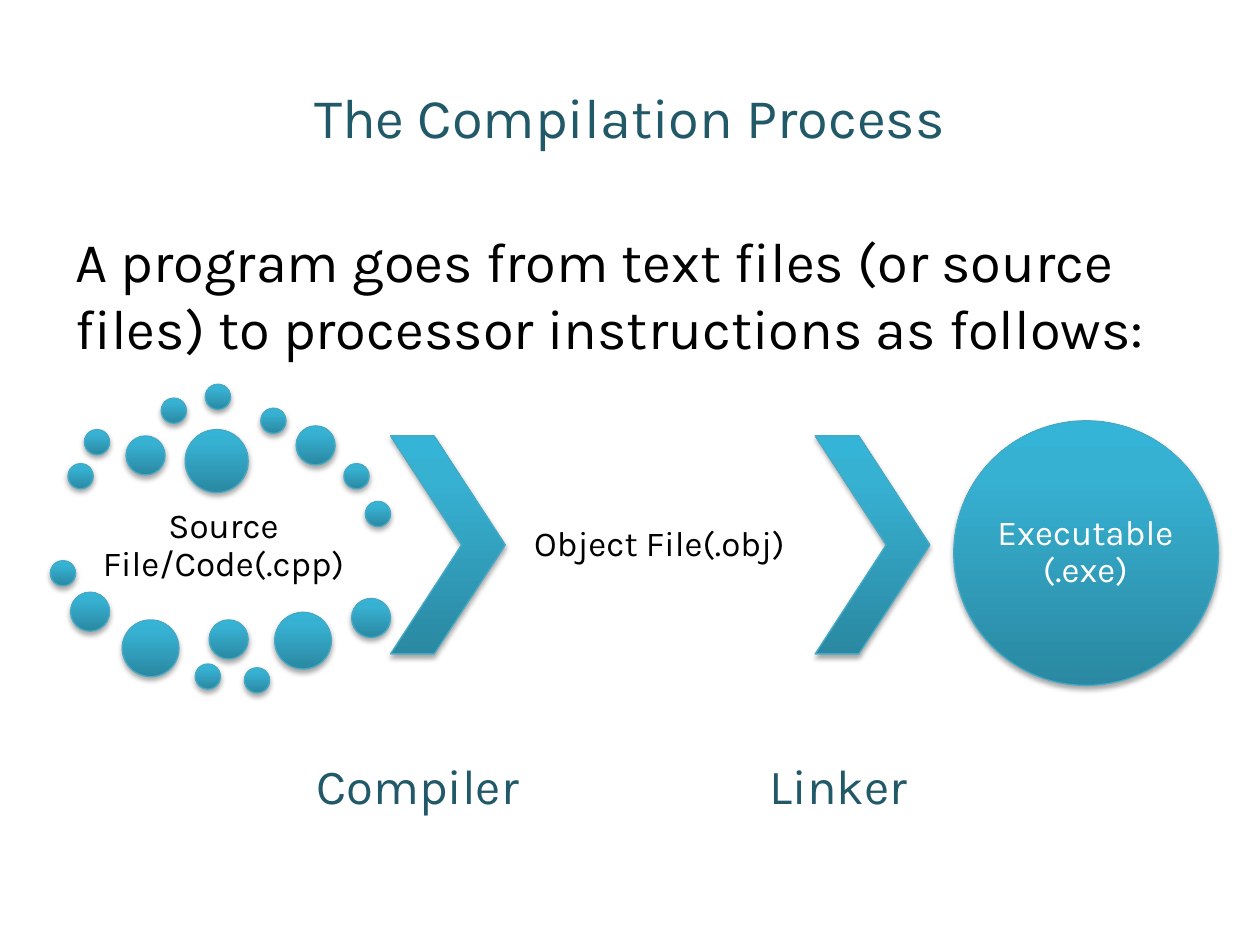
from lxml import etree
from pptx import Presentation
from pptx.dml.color import RGBColor
from pptx.enum import shapes, text
from pptx.oxml import parse_xml
from pptx.oxml.ns import nsdecls, qn
from pptx.util import Inches, Pt

FONT = "Karla"
TEAL, BLACK, WHITE, EDGE = "215968", "000000", "FFFFFF", "46AAC5"
GRADIENT = [(0, "2A88A2"), (80, "37B1D2"), (100, "34B4D6")]
SMALL, MEDIUM, LARGE, LARGEST = 0.2, 0.31, 0.45, 0.5

SOURCE_DOTS = {
    SMALL: [(0.54, 3.68), (0.67, 3.41), (1.28, 3.16), (1.63, 3.05), (2.07, 3.24), (2.73, 3.68),
            (2.9, 3.98), (0.4, 4.45), (1.55, 5.27), (1.94, 5.3)],
    MEDIUM: [(1, 3.46), (2.35, 3.38), (0.56, 4.7), (1.66, 4.92), (2.79, 4.75)],
    LARGE: [(0.97, 4.92), (2.18, 4.86)],
    LARGEST: [(1.47, 3.41)],
}
STAGES = [
    ("Source File/Code(.cpp)", (0.54, 3.93, 2.47, 0.81), 0.03, 20, BLACK),
    ("Compiler", (2.08, 5.5, 2.47, 1.52), 0.04, 28, TEAL),
    ("Object File(.obj)", (4, 3.46, 2.47, 1.73), 0.03, 20, BLACK),
    ("Linker", (5.42, 5.5, 2.47, 1.52), 0.04, 28, TEAL),
    ("Executable(.exe)", (7.87, 3.64, 1.49, 1.49), 0, 20, WHITE),
]


def color(value):
    """Turn a hex string into a colour."""
    return RGBColor.from_string(value)


def box(bounds):
    """Turn left, top, width and height in inches into lengths."""
    return [Inches(length) for length in bounds]


def style(paragraph, size, hue, align):
    """Format one paragraph."""
    paragraph.alignment = align
    paragraph.font.name = FONT
    paragraph.font.size = Pt(size)
    paragraph.font.color.rgb = color(hue)


def add_title(slide, wording):
    """Place and format the slide title."""
    title = slide.shapes.title
    title.left, title.top, title.width, title.height = box((0.5, 0.3, 9, 1.25))
    title.text_frame.text = wording
    title.text_frame.vertical_anchor = text.MSO_ANCHOR.MIDDLE
    style(title.text_frame.paragraphs[0], 32, TEAL, text.PP_ALIGN.CENTER)


def add_intro(slide, wording):
    """Add the sentence that introduces the process."""
    frame = slide.shapes.add_textbox(*box((0.5, 1.75, 9, 1.17))).text_frame
    frame.word_wrap = True
    frame.text = wording
    style(frame.paragraphs[0], 32, BLACK, text.PP_ALIGN.LEFT)
    frame.paragraphs[0].space_before = Pt(6.4)


def add_label(slide, wording, bounds, inset, size, hue):
    """Add a centred stage label."""
    frame = slide.shapes.add_textbox(*box(bounds)).text_frame
    frame.word_wrap = True
    frame.vertical_anchor = text.MSO_ANCHOR.MIDDLE
    frame.margin_left = frame.margin_right = Inches(inset)
    frame.margin_top = frame.margin_bottom = Inches(inset)
    frame.text = wording
    style(frame.paragraphs[0], size, hue, text.PP_ALIGN.CENTER)
    frame.paragraphs[0].line_spacing = 0.9


def add_glossy(slide, kind, bounds):
    """Add a preset shape with a vertical gradient and a soft shadow below."""
    shape = slide.shapes.add_shape(kind, *box(bounds))
    stops = "".join(f'<a:gs pos="{position * 1000}"><a:srgbClr val="{hue}"/></a:gs>'
                    for position, hue in GRADIENT)
    properties = shape._element.spPr
    properties.find(qn("a:prstGeom")).addnext(parse_xml(
        f'<a:gradFill {nsdecls("a")} rotWithShape="1"><a:gsLst>{stops}</a:gsLst>'
        '<a:lin ang="16200000" scaled="0"/></a:gradFill>'))
    shape.line.color.rgb = color(EDGE)
    shape.line.width = Pt(0.75)
    shape.shadow.inherit = False
    shadow = etree.SubElement(properties.find(qn("a:effectLst")), qn("a:outerShdw"),
                              blurRad=str(Pt(3.1)), dist=str(Pt(1.8)),
                              dir="5400000", rotWithShape="0")
    black = etree.SubElement(shadow, qn("a:srgbClr"), val=BLACK)
    etree.SubElement(black, qn("a:alpha"), val="35000")
    return shape


def main():
    """Build the compilation process slide."""
    deck = Presentation()
    deck.slide_width, deck.slide_height = Inches(10), Inches(7.5)
    slide = deck.slides.add_slide(deck.slide_layouts[5])
    add_title(slide, "The Compilation Process")
    add_intro(slide, "A program goes from text files (or source files) "
                     "to processor instructions as follows:")
    for size, corners in SOURCE_DOTS.items():
        for left, top in corners:
            add_glossy(slide, shapes.MSO_SHAPE.OVAL, (left, top, size, size))
    for left in (3.1, 6.47):
        chevron = add_glossy(slide, shapes.MSO_SHAPE.CHEVRON, (left, 3.46, 0.91, 1.73))
        chevron.adjustments[0] = 0.62
    add_glossy(slide, shapes.MSO_SHAPE.OVAL, (7.57, 3.34, 2.1, 2.1))
    for stage in STAGES:
        add_label(slide, *stage)
    deck.save("out.pptx")


if __name__ == "__main__":
    main()
